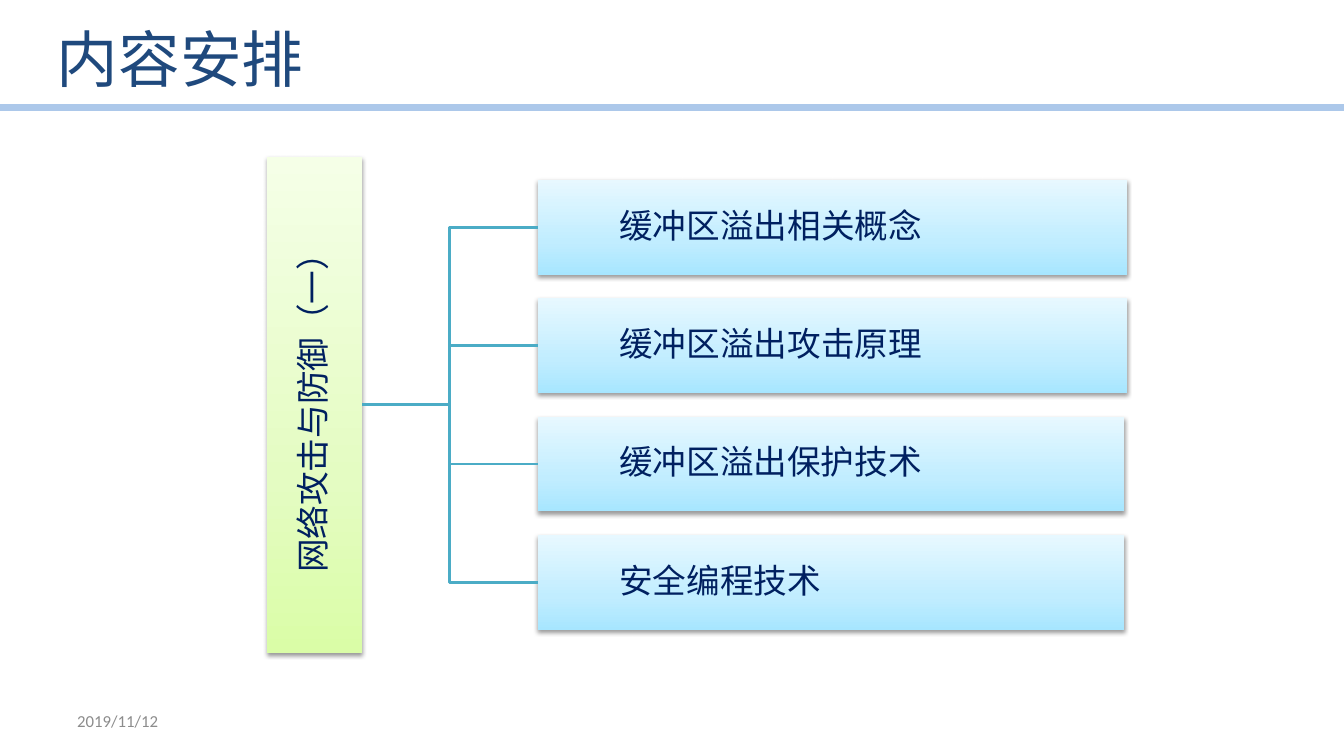
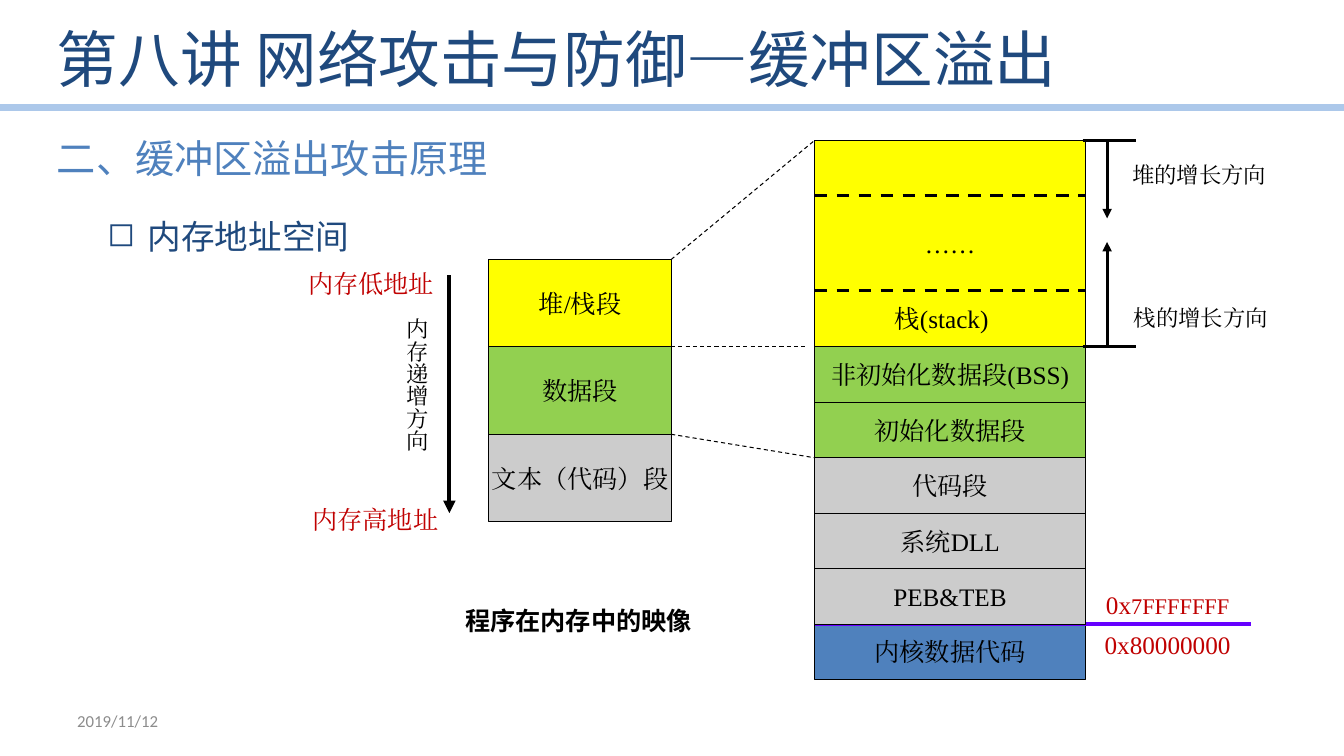
"""Build two lecture slides on buffer overflow attacks."""
from copy import deepcopy
from dataclasses import dataclass

from lxml.etree import SubElement
from pptx import Presentation
from pptx.dml.color import RGBColor
from pptx.enum.dml import MSO_LINE as Dash
from pptx.enum.shapes import MSO_CONNECTOR as Link, MSO_SHAPE as Shape
from pptx.enum.text import MSO_ANCHOR as Anchor, PP_ALIGN as Align
from pptx.oxml.ns import qn
from pptx.util import Inches, Pt

COLUMNS, ROWS = 160, 90


@dataclass(frozen=True)
class Theme:
    """Colours, fonts and type sizes of the lecture."""
    navy: str = "1F497D"
    blue: str = "4F81BD"
    rule: str = "8EB4E3"
    teal: str = "4BACC6"
    ink: str = "002060"
    black: str = "000000"
    white: str = "FFFFFF"
    muted: str = "8C8C8C"
    red: str = "C00000"
    violet: str = "6600FF"
    yellow: str = "FFFF00"
    green: str = "92D050"
    grey: str = "CCCCCC"
    lime_fade: tuple = ("DAFDA7", "E4FCC2", "F5FFE7")
    sky_fade: tuple = ("A7E6FF", "C1EDFF", "E7F8FF")
    fade_stops: tuple = (0, 0.35, 1)
    sans: str = "Noto Sans CJK SC"
    serif: str = "Times New Roman"
    footer: str = "Calibri"
    title_size: int = 44
    heading_size: int = 28
    topic_size: int = 24
    label_size: int = 18
    note_size: int = 16
    date_size: int = 12


class Deck:
    """Holds the theme, the presentation and the current slide."""

    def __init__(self, theme):
        """Start an empty widescreen presentation."""
        self.theme = theme
        self.show = Presentation()
        self.show.slide_width = Inches(13.333)
        self.show.slide_height = Inches(7.5)
        self.slide = None

    def col(self, count):
        """Convert grid columns to a length."""
        return round(self.show.slide_width * count / COLUMNS)

    def row(self, count):
        """Convert grid rows to a length."""
        return round(self.show.slide_height * count / ROWS)

    def area(self, left, top, width, height):
        """Convert a grid rectangle to lengths."""
        return self.col(left), self.row(top), self.col(width), self.row(height)

    def new_slide(self, title):
        """Add a slide with the shared rule, title and date."""
        t = self.theme
        self.slide = self.show.slides.add_slide(self.show.slide_layouts[6])
        rule = self.line((0, 12.8), (COLUMNS, 12.8), t.rule, 4.75)
        tint = rule.line._ln.find(".//" + qn("a:srgbClr"))
        SubElement(tint, qn("a:alpha")).set("val", "73000")
        self.label((5.6, 1.1, 132.2, 11.6), title, t.title_size, t.navy, t.sans,
                   anchor=Anchor.MIDDLE)
        self.label((8, 83.4, 37.3, 4.8), "2019/11/12", t.date_size, t.muted,
                   t.footer, anchor=Anchor.MIDDLE)

    def add_run(self, paragraph, words, size, color, font, bold=False):
        """Add one styled run to a paragraph."""
        run = paragraph.add_run()
        run.text = words
        run.font.size = Pt(size)
        run.font.bold = bold
        run.font.color.rgb = RGBColor.from_string(color)
        run.font.name = font
        latin = run._r.rPr.find(qn("a:latin"))
        east = deepcopy(latin)
        east.tag = qn("a:ea")
        latin.addnext(east)

    def fill_text(self, holder, words, size, color, font, align=Align.LEFT,
                  anchor=Anchor.TOP, wrap=True, bold=False, turn=None):
        """Fill the first paragraph of a shape and return it."""
        frame = holder.text_frame
        frame.word_wrap = wrap
        frame.vertical_anchor = anchor
        if turn:
            frame._txBody.bodyPr.set("vert", turn)
        paragraph = frame.paragraphs[0]
        paragraph.alignment = align
        self.add_run(paragraph, words, size, color, font, bold)
        return paragraph

    def label(self, place, words, size, color, font, **style):
        """Add a free text box and return its paragraph."""
        holder = self.slide.shapes.add_textbox(*self.area(*place))
        return self.fill_text(holder, words, size, color, font, **style)

    def bullet(self, place, words):
        """Add a topic with a hollow square bullet."""
        t = self.theme
        holder = self.slide.shapes.add_textbox(*self.area(*place))
        props = holder.text_frame.paragraphs[0]._p.get_or_add_pPr()
        props.set("marL", str(self.col(10.8)))
        props.set("indent", str(-self.col(4.8)))
        SubElement(props, qn("a:buChar")).set("char", "◻")
        topic = self.fill_text(holder, words, t.topic_size, t.navy, t.sans)
        topic.line_spacing = 1.2

    def box(self, place, fill, outline=None):
        """Add a flat rectangle."""
        shape = self.slide.shapes.add_shape(Shape.RECTANGLE, *self.area(*place))
        shape.shadow.inherit = False
        shape.fill.solid()
        shape.fill.fore_color.rgb = RGBColor.from_string(fill)
        if outline:
            shape.line.color.rgb = RGBColor.from_string(outline)
            shape.line.width = Pt(0.75)
        else:
            shape.line.fill.background()
        return shape

    def segment(self, place, words, fill):
        """Add an outlined memory segment with centred text."""
        t = self.theme
        self.fill_text(self.box(place, fill, t.black), words, t.label_size, t.black,
                       t.serif, align=Align.CENTER, anchor=Anchor.MIDDLE, wrap=False)

    def card(self, place, words, fade, indent=0, **style):
        """Add a shaded card with a soft shadow."""
        t = self.theme
        shape = self.box(place, t.white)
        shape.fill.gradient()
        shape.fill.gradient_angle = 90
        stops = shape._element.spPr.find(".//" + qn("a:gsLst"))
        stops.append(deepcopy(stops[0]))
        for stop, color, position in zip(shape.fill.gradient_stops, fade, t.fade_stops):
            stop.color.rgb = RGBColor.from_string(color)
            stop.position = position
        effects = shape._element.spPr.find(qn("a:effectLst"))
        shadow = SubElement(effects, qn("a:outerShdw"), blurRad=str(Pt(3.1)),
                            dist=str(Pt(1.6)), dir="5400000", rotWithShape="0")
        shade = SubElement(shadow, qn("a:srgbClr"), val=t.black)
        SubElement(shade, qn("a:alpha"), val="38000")
        frame = shape.text_frame
        frame.margin_left = self.col(0.24 + indent)
        frame.margin_right = self.col(0.24)
        frame.margin_top = frame.margin_bottom = self.row(0.24)
        topic = self.fill_text(shape, words, t.topic_size, t.ink, t.sans,
                               anchor=Anchor.MIDDLE, **style)
        topic.line_spacing = 0.9
        return shape

    def line(self, start, end, color, width, dash=None, arrow=False, kind=Link.STRAIGHT):
        """Add a connector between two grid points."""
        link = self.slide.shapes.add_connector(
            kind, self.col(start[0]), self.row(start[1]),
            self.col(end[0]), self.row(end[1]))
        link.line.color.rgb = RGBColor.from_string(color)
        link.line.width = Pt(width)
        if dash:
            link.line.dash_style = dash
        if arrow:
            SubElement(link.line._ln, qn("a:tailEnd")).set("type", "triangle")
        SubElement(link._element.spPr, qn("a:effectLst"))
        return link

    def branch(self, parent, child):
        """Join a parent card to a child card with an elbow."""
        link = self.line((0, 0), (1, 1), self.theme.teal, 2, kind=Link.ELBOW)
        link.begin_connect(parent, 3)
        link.end_connect(child, 1)


def build_outline(deck):
    """Show the lecture topics as a tree."""
    t = deck.theme
    deck.new_slide("内容安排")
    lecture = deck.card((31.8, 18.7, 11.3, 59), "网络攻击与防御（一）", t.lime_fade,
                        align=Align.CENTER, turn="vert270")
    topics = (("缓冲区溢出相关概念", 70.2), ("缓冲区溢出攻击原理", 70.2),
              ("缓冲区溢出保护技术", 69.8), ("安全编程技术", 69.8))
    for index, (words, width) in enumerate(topics):
        topic = deck.card((64, 21.4 + 14.1 * index, width, 11.3), words,
                          t.sky_fade, indent=9.5)
        deck.branch(lecture, topic)


def build_memory(deck):
    """Show how a program is laid out in memory."""
    t = deck.theme
    deck.new_slide("第八讲 网络攻击与防御—缓冲区溢出")
    deck.bullet((5.6, 24.2, 147.4, 52.9), "内存地址空间")
    deck.label((5.6, 15.4, 54.2, 6.8), "二、缓冲区溢出攻击原理",
               t.heading_size, t.blue, t.sans)

    image_left, image_top, image_width, image_step = 58.2, 30.9, 21.7, 10.4
    image = (("堆/栈段", t.yellow), ("数据段", t.green), ("文本（代码）段", t.grey))
    for index, (words, fill) in enumerate(image):
        deck.segment((image_left, image_top + image_step * index, image_width, image_step),
                     words, fill)
    deck.label((54.2, 71.5, 29.6, 4.8), "程序在内存中的映像", t.label_size, t.black,
               t.sans, bold=True)

    for left, top, words in ((35.5, 31.3, "内存低地址"), (36, 59.5, "内存高地址")):
        deck.fill_text(deck.box((left, top, 17.5, 4.7), t.white), words,
                       t.label_size, t.red, t.serif)
    deck.fill_text(deck.box((45.4, 36.7, 6.4, 23.4), t.white), "内存递增方向",
                   t.note_size, t.black, t.serif, turn="eaVert")
    deck.line((53.5, 32.8), (53.5, 61.1), t.black, 3, arrow=True)

    left, width, step = 97, 32.2, 6.6
    right, heap_top, stack_base = left + width, 16.7, 41.3
    kernel_top = stack_base + 5 * step
    deck.segment((left, heap_top, width, stack_base - heap_top), "……", t.yellow)
    deck.segment((left, kernel_top, width, step), "内核数据代码", t.blue)
    deck.line((148.9, kernel_top), (left, kernel_top), t.violet, 3)
    segments = (("非初始化数据段(BSS)", t.green), ("初始化数据段", t.green),
                ("代码段", t.grey), ("系统DLL", t.grey), ("PEB&TEB", t.grey))
    for index, (words, fill) in enumerate(segments):
        deck.segment((left, stack_base + step * index, width, step), words, fill)
    deck.label((96, 33.7, width, 8.5), "栈(stack)", t.label_size, t.black, t.serif,
               align=Align.CENTER, anchor=Anchor.MIDDLE, wrap=False)
    for height in (23.3, 34.6):
        deck.line((left, height), (right, height), t.black, 2.25, Dash.DASH)

    growth = ((heap_top, 26, 133.6, 18.6, "堆的增长方向"),
              (stack_base, 28.8, 133.8, 35.6, "栈的增长方向"))
    for base, tip, note_left, note_top, words in growth:
        deck.line((128.9, base), (135.2, base), t.black, 2.25)
        deck.line((131.8, base), (131.8, tip), t.black, 2.25, arrow=True)
        deck.label((note_left, note_top, 19.2, 4.7), words, t.note_size, t.black, t.serif)

    image_right = image_left + image_width
    expansions = ((image_top, left, heap_top),
                  (image_top + image_step, 96, stack_base),
                  (image_top + 2 * image_step, left, stack_base + 2 * step))
    for start, end_column, end in expansions:
        deck.line((image_right, start), (end_column, end), t.black, 0.75, Dash.DASH)

    deck.label((127.2, 74.3, 23.6, 4.9), "0x80000000", t.label_size, t.red, t.serif,
               align=Align.CENTER)
    user_limit = deck.label((126.2, 69.6, 25.6, 4.9), "0x", t.label_size, t.red, t.serif,
                            align=Align.CENTER)
    deck.add_run(user_limit, "7FFFFFFF", t.note_size, t.red, t.serif)


def main():
    """Build both slides and save them."""
    deck = Deck(Theme())
    build_outline(deck)
    build_memory(deck)
    deck.show.save("out.pptx")


if __name__ == "__main__":
    main()
